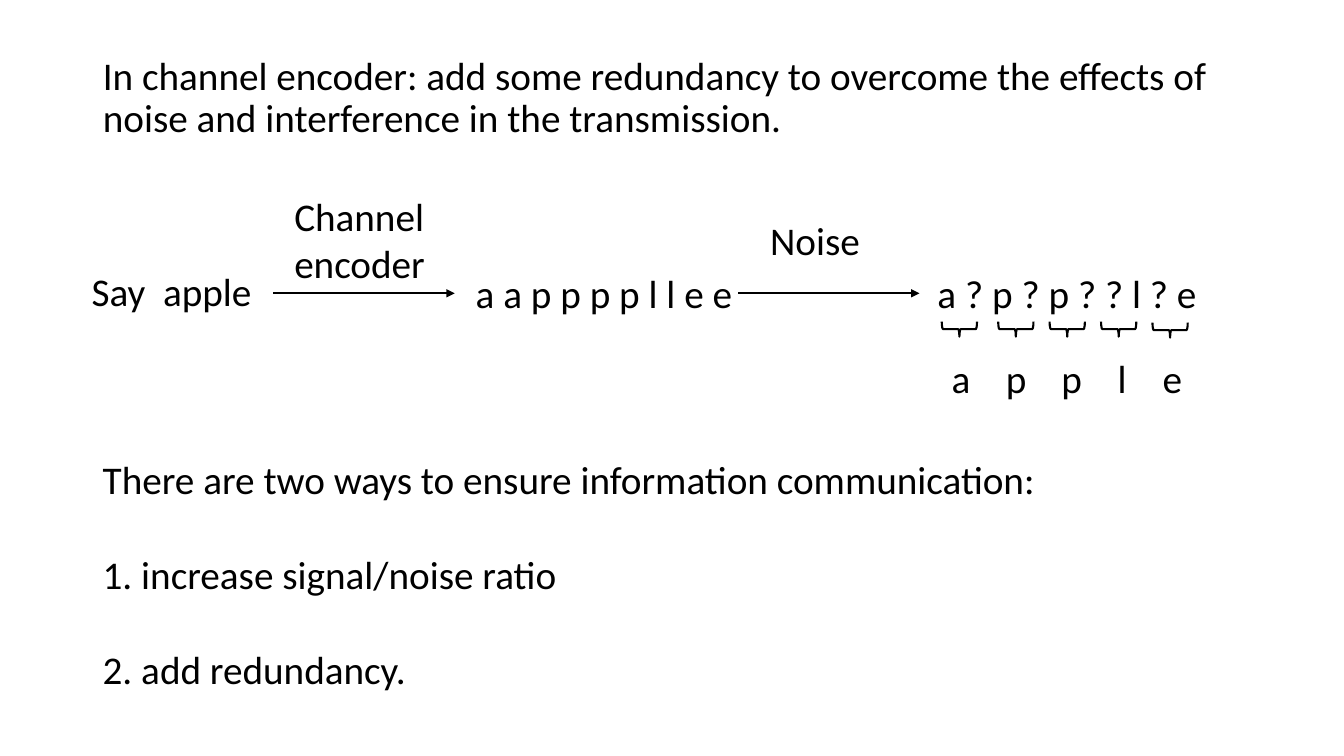
"""Build a slide on how a channel encoder adds redundancy against noise."""
import pptx
import pptx.dml.color
import pptx.enum.dml
import pptx.enum.shapes
import pptx.enum.text
import pptx.oxml.ns
import pptx.util
from lxml import etree

PX = 9144
BLACK = pptx.dml.color.RGBColor(0, 0, 0)
WHITE = pptx.dml.color.RGBColor(255, 255, 255)
qn = pptx.oxml.ns.qn


def write(frame, text, line_spacing=1.0, first_gap=0, gap=0, bulleted=True, tabs=()):
    """Fill a text frame, one paragraph per line of text."""
    frame.word_wrap = True
    frame.auto_size = pptx.enum.text.MSO_AUTO_SIZE.NONE
    frame.text = text
    for index, paragraph in enumerate(frame.paragraphs):
        paragraph.line_spacing = line_spacing
        paragraph.space_before = pptx.util.Pt(gap if index else first_gap)
        paragraph.font.name = "Calibri"
        properties = paragraph._p.get_or_add_pPr()
        if not bulleted:
            properties.set("marL", "0")
            properties.set("indent", "0")
            properties.insert_element_before(
                etree.Element(qn("a:buNone")), "a:tabLst", "a:defRPr")
        if tabs:
            stops = etree.Element(qn("a:tabLst"))
            for stop in tabs:
                etree.SubElement(stops, qn("a:tab"), pos=str(stop * PX), algn="ctr")
            properties.insert_element_before(stops, "a:defRPr")
        for run in paragraph.runs:
            run.font.name = "Calibri"
            run.font.size = pptx.util.Pt(28)
            run.font.color.rgb = BLACK


deck = pptx.Presentation()
deck.slide_width, deck.slide_height = 1333 * PX, 750 * PX
slide = deck.slides.add_slide(deck.slide_layouts[1])
slide.background.fill.solid()
slide.background.fill.fore_color.rgb = WHITE
heading = slide.shapes.title._element
heading.getparent().remove(heading)

intro = slide.placeholders[1]
intro.left, intro.top, intro.width, intro.height = (
    n * PX for n in (92, 51, 1150, 122))
write(intro.text_frame,
      "In channel encoder: add some redundancy to overcome the effects of "
      "noise and interference in the transmission.",
      line_spacing=0.9, first_gap=10, bulleted=False)

ways = ("There are two ways to ensure information communication:\n"
        "1. increase signal/noise ratio\n"
        "2. add redundancy.")
for text, box, layout in (
    ("Channel encoder", (282, 186, 158, 104), {}),
    ("a a p p p p l l e e", (462, 262, 314, 57), {}),
    ("Noise", (754, 210, 158, 57), {}),
    ("a ? p ? p ? ? l ? e", (920, 262, 314, 57), {}),
    ("a\tp\tp\tl\te", (934, 347, 257, 57), {"tabs": (64, 119, 169, 219)}),
    ("Say  apple", (81, 260, 257, 57), {}),
    (ways, (92, 447, 1142, 246), {"gap": 34}),
):
    label = slide.shapes.add_textbox(*(n * PX for n in box))
    write(label.text_frame, text, **layout)

for start in (271, 732):
    arrow = slide.shapes.add_connector(
        pptx.enum.shapes.MSO_CONNECTOR.STRAIGHT,
        start * PX, 291 * PX, (start + 180) * PX, 291 * PX)
    arrow.line.color.rgb = BLACK
    arrow.line.width = pptx.util.Pt(1.5)
    etree.SubElement(arrow.line._get_or_add_ln(), qn("a:tailEnd"), type="triangle")
    etree.SubElement(arrow._element.spPr, qn("a:effectLst"))

for left, top in ((944, 309), (1000, 309), (1051, 309), (1102, 309), (1153, 310)):
    brace = slide.shapes.add_shape(
        pptx.enum.shapes.MSO_SHAPE.RIGHT_BRACE, left * PX, top * PX, 15 * PX, 35 * PX)
    brace.rotation = 90
    brace.shadow.inherit = False
    brace.fill.background()
    brace.line.color.rgb = BLACK
    brace.line.width = pptx.util.Pt(1.5)

deck.save("out.pptx")
